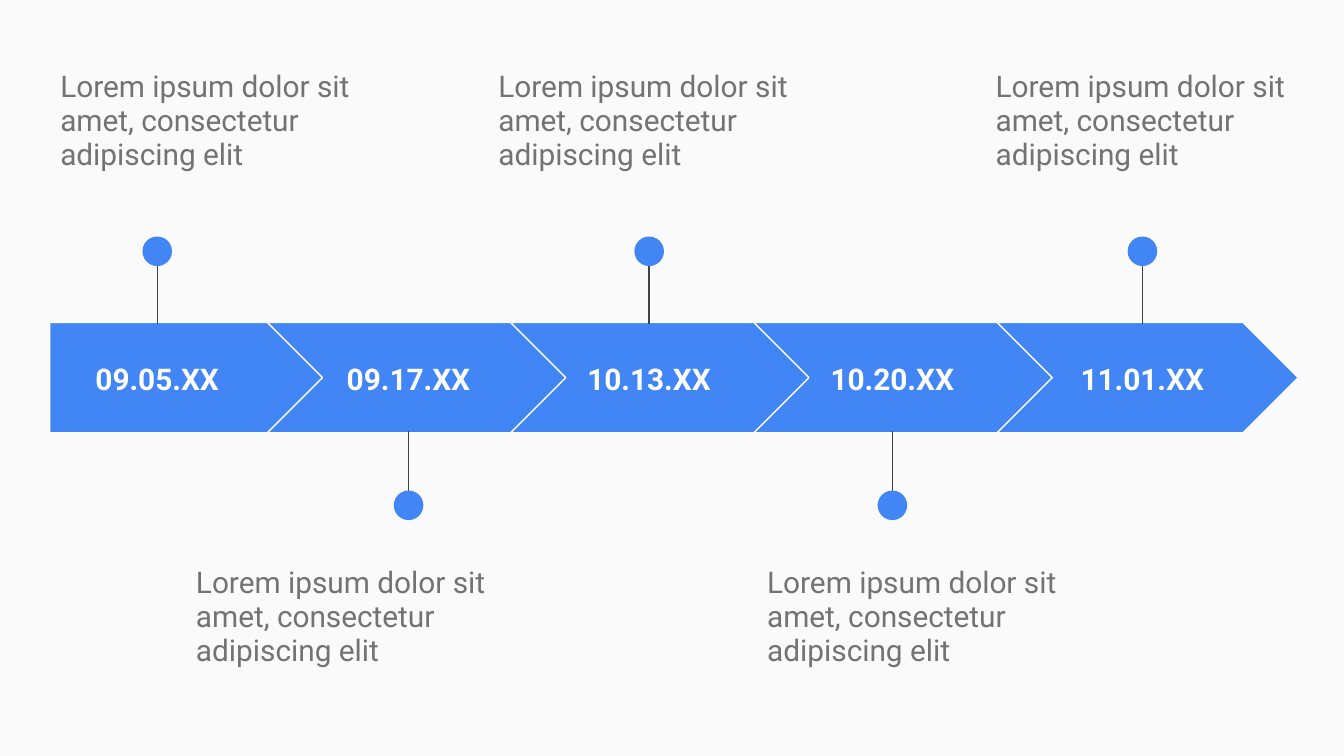
from lxml import etree
from pptx import Presentation
from pptx.dml.color import RGBColor
from pptx.enum.shapes import MSO_CONNECTOR, MSO_SHAPE
from pptx.enum.text import MSO_ANCHOR, PP_ALIGN
from pptx.oxml.ns import qn
from pptx.util import Inches, Pt

PENTAGON, CHEVRON, OVAL = MSO_SHAPE.PENTAGON, MSO_SHAPE.CHEVRON, MSO_SHAPE.OVAL
STRAIGHT = MSO_CONNECTOR.STRAIGHT
LEFT, CENTER = PP_ALIGN.LEFT, PP_ALIGN.CENTER
TOP, MIDDLE = MSO_ANCHOR.TOP, MSO_ANCHOR.MIDDLE

BLUE, WHITE, DARK, GRAY, PAPER = "4285F4", "FFFFFF", "424242", "737373", "FAFAFA"
DESCRIPTION = "Lorem ipsum dolor sit amet, consectetur adipiscing elit"
SLIDE_WIDTH = 10
SLIDE_HEIGHT = SLIDE_WIDTH * 9 / 16
BAND_TOP, BAND_HEIGHT = 2.4, 0.82
CHEVRON_LEFT, CHEVRON_STEP = 1.99, 1.81
DOT_SIZE = 0.22
MILESTONES = [
    ("09.05.XX", 1.17, 0.35),
    ("09.17.XX", 3.04, 1.36),
    ("10.13.XX", 4.83, 3.61),
    ("10.20.XX", 6.64, 5.61),
    ("11.01.XX", 8.5, 7.31),
]


def color(hex_value):
    """Turn a hex string into a colour."""
    return RGBColor.from_string(hex_value)


def add_text(slide, text, left, top, width, height, *, ink=GRAY, bold=False,
             align=LEFT, anchor=TOP, line_spacing=1.0, space_after=0):
    """Add a wrapped text box with one formatted paragraph."""
    box = slide.shapes.add_textbox(Inches(left), Inches(top), Inches(width), Inches(height))
    frame = box.text_frame
    frame.word_wrap = True
    frame.vertical_anchor = anchor
    frame.margin_left = frame.margin_right = Inches(0.1)
    frame.margin_top = frame.margin_bottom = Inches(0.1)
    paragraph = frame.paragraphs[0]
    paragraph.alignment = align
    paragraph.line_spacing = line_spacing
    paragraph.space_after = Pt(space_after)
    run = paragraph.add_run()
    run.text = text
    run.font.name = "Roboto"
    run.font.size = Pt(16)
    run.font.bold = bold
    run.font.color.rgb = color(ink)


def add_solid(shapes, kind, left, top, width, height, outline=None):
    """Add a blue shape, outlined only when a colour is given."""
    solid = shapes.add_shape(kind, Inches(left), Inches(top), Inches(width), Inches(height))
    solid.shadow.inherit = False
    solid.fill.solid()
    solid.fill.fore_color.rgb = color(BLUE)
    if outline:
        solid.line.color.rgb = color(outline)
        solid.line.width = Pt(0.75)
    else:
        solid.line.fill.background()
    return solid


def add_step(slide, index):
    """Add one arrow of the timeline band."""
    if index == 0:
        kind, left, width = PENTAGON, 0.37, 2.05
    else:
        kind, left, width = CHEVRON, CHEVRON_LEFT + CHEVRON_STEP * (index - 1), 2.24
    step = add_solid(slide.shapes, kind, left, BAND_TOP, width, BAND_HEIGHT, WHITE)
    step.adjustments[0] = 0.5


def add_pin(slide, center, above):
    """Add a grouped stem and dot above or below the band."""
    pin = slide.shapes.add_group_shape()
    stem_start, stem_end, dot_top = (1.8, 2.41, 1.76) if above else (3.82, 3.21, 3.65)
    stem = pin.shapes.add_connector(STRAIGHT, Inches(center), Inches(stem_start),
                                    Inches(center), Inches(stem_end))
    stem.line.color.rgb = color(DARK)
    stem.line.width = Pt(0.75)
    etree.SubElement(stem._element.spPr, qn("a:effectLst"))
    add_solid(pin.shapes, OVAL, center - DOT_SIZE / 2, dot_top, DOT_SIZE, DOT_SIZE)


def main():
    """Build the timeline slide and save it."""
    deck = Presentation()
    deck.slide_width, deck.slide_height = Inches(SLIDE_WIDTH), Inches(SLIDE_HEIGHT)
    slide = deck.slides.add_slide(deck.slide_layouts[6])
    slide.background.fill.solid()
    slide.background.fill.fore_color.rgb = color(PAPER)
    for index, (date, center, description_left) in enumerate(MILESTONES):
        above = index % 2 == 0
        date_width = 1.59 if index == 0 else 1.44
        add_step(slide, index)
        add_text(slide, date, center - date_width / 2, 2.56, date_width, 0.51,
                 ink=WHITE, bold=True, align=CENTER, anchor=MIDDLE)
        add_pin(slide, center, above)
        add_text(slide, DESCRIPTION, description_left, 0.42 if above else 4.11,
                 2.45, 0.99, line_spacing=0.95, space_after=12)
    deck.save("out.pptx")


if __name__ == "__main__":
    main()
